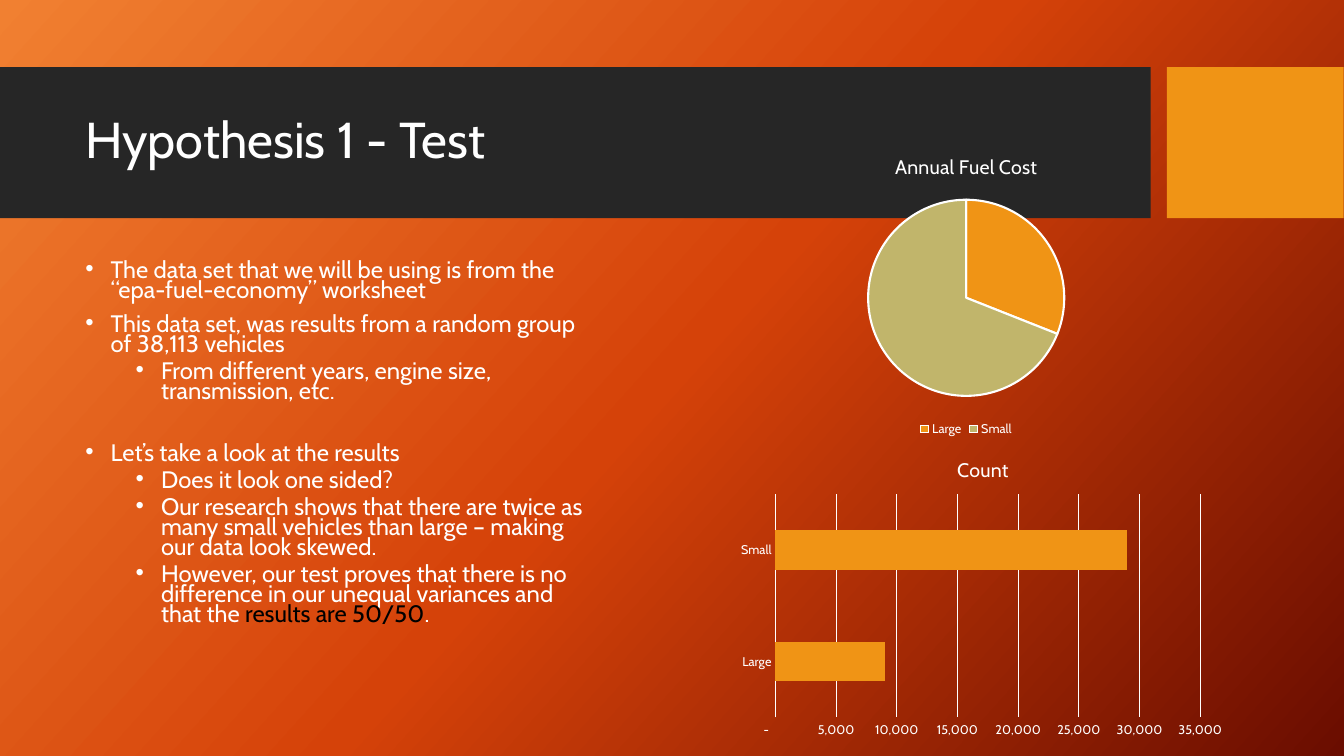
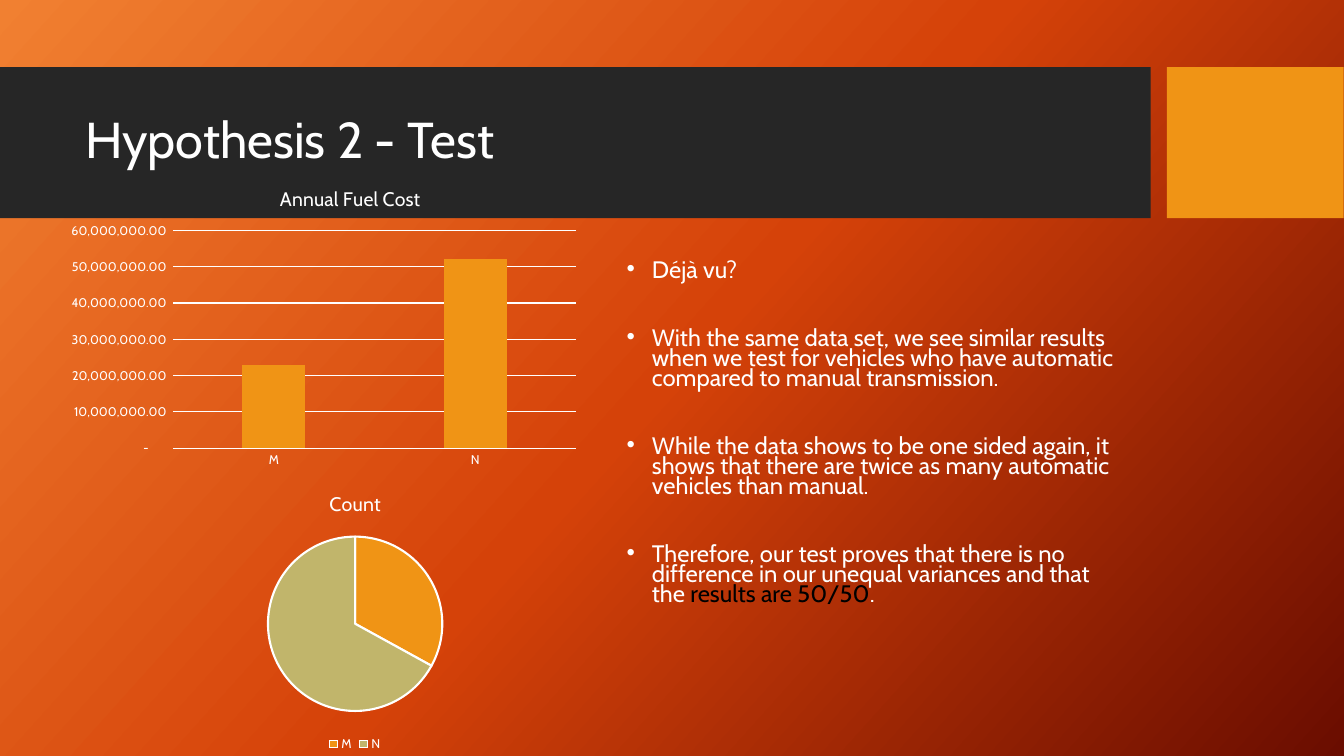
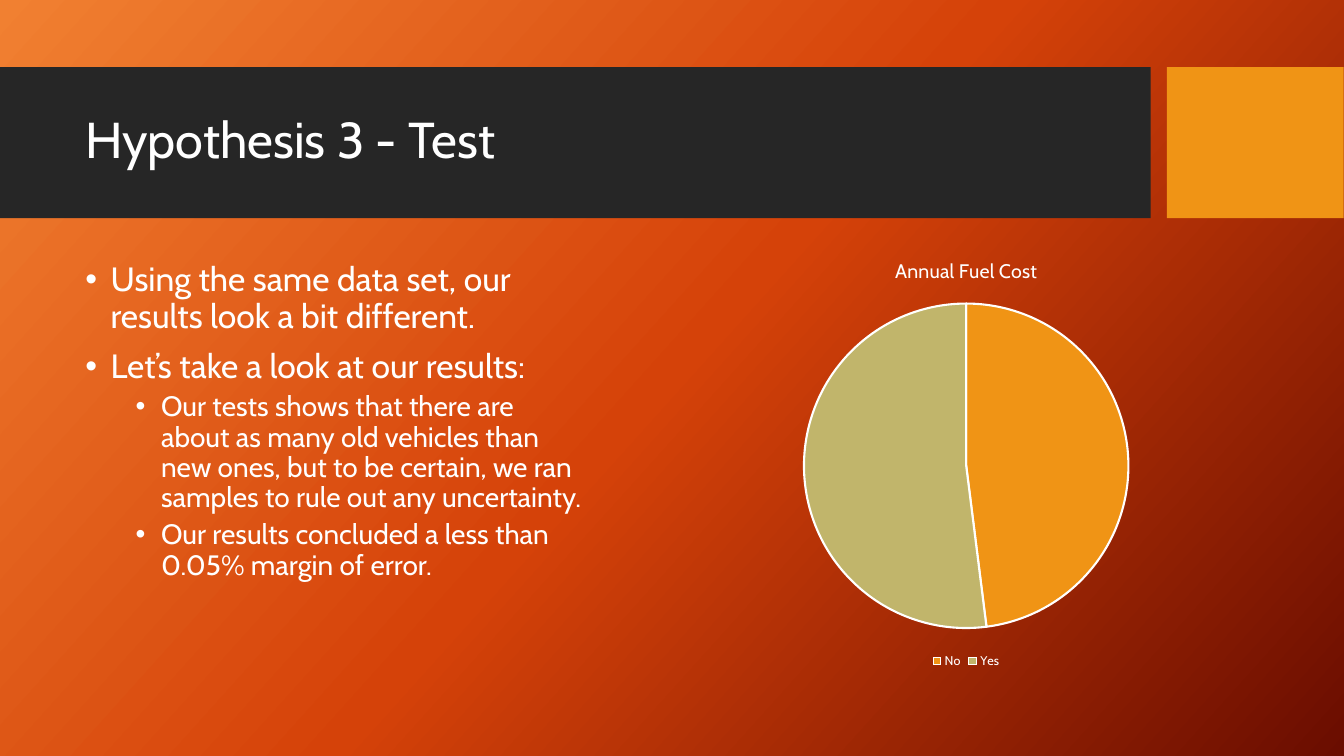
from copy import deepcopy
from dataclasses import dataclass

from lxml import etree
from pptx import Presentation, util as u
from pptx.chart import data
from pptx.dml import color
from pptx.enum import chart as ch, shapes, text
from pptx.oxml import ns


# Theme: colours and type sizes
@dataclass(frozen=True)
class Theme:
    font: str = "Cabin"
    dot: str = "Arial"
    white: str = "FFFFFF"
    black: str = "000000"
    band: str = "262626"
    gold: str = "F09415"
    sand: str = "C1B56B"
    back: tuple = ((0, "F18031"), (0.5, "D54209"), (1, "6A0D00"))
    angle: int = 42
    head: int = 36
    large: int = 24
    mid: int = 20
    small: int = 17
    name: int = 14
    label: int = 9


T = Theme()
PIE = ch.XL_CHART_TYPE.PIE
BAR = ch.XL_CHART_TYPE.BAR_CLUSTERED
COLUMN = ch.XL_CHART_TYPE.COLUMN_CLUSTERED
WHOLE = r'_(* #,##0_);_(* \(#,##0\);_(* "-"??_);_(@_)'
CENTS = r'_(* #,##0.00_);_(* \(#,##0.00\);_(* "-"??_);_(@_)'


def rgb(code):
    return color.RGBColor.from_string(code)


def box(*cms):
    return [u.Cm(n) for n in cms]


class Deck:
    def __init__(self):
        self.prs = Presentation()
        self.prs.slide_width, self.prs.slide_height = box(33.87, 19.05)
        self.slide = None

    # Frame: background, bands and title
    def page(self, title):
        self.slide = self.prs.slides.add_slide(self.prs.slide_layouts[6])
        self.paint()
        self.rect((0, 1.69, 29, 3.81), T.band)
        self.rect((29.41, 1.69, 4.45, 3.81), T.gold)
        frame = self.frame((1.9, 2.08, 26.7, 3), text.MSO_ANCHOR.MIDDLE)
        para = frame.paragraphs[0]
        para.line_spacing = 0.9
        self.run(para, title, T.head)

    def paint(self):
        fill = self.slide.background.fill
        fill.gradient()
        fill.gradient_angle = 360 - T.angle
        stops = next(self.slide.element.iter(ns.qn("a:gsLst")))
        stops.append(deepcopy(stops[-1]))
        for stop, (place, code) in zip(fill.gradient_stops, T.back):
            stop.position = place
            stop.color.rgb = rgb(code)

    def rect(self, place, code):
        shape = self.slide.shapes.add_shape(
            shapes.MSO_SHAPE.RECTANGLE, *box(*place))
        shape.shadow.inherit = False
        shape.fill.solid()
        shape.fill.fore_color.rgb = rgb(code)
        shape.line.fill.background()

    # Text
    def frame(self, place, anchor=text.MSO_ANCHOR.TOP):
        frame = self.slide.shapes.add_textbox(*box(*place)).text_frame
        frame.word_wrap = True
        frame.vertical_anchor = anchor
        return frame

    def style(self, font, size, code=T.white):
        font.name = T.font
        font.size = u.Pt(size)
        font.bold = False
        font.color.rgb = rgb(code)

    def run(self, para, words, size, code=T.white):
        run = para.add_run()
        run.text = words
        self.style(run.font, size, code)

    def body(self, left, items, sizes=(T.small, T.small), pitch=0.7):
        """Each item is (level, space before, run, ...)."""
        frame = self.frame((left, 6.5, 13.06, 10.01))
        for i, (level, gap, *runs) in enumerate(items):
            para = frame.paragraphs[0] if i == 0 else frame.add_paragraph()
            para.level = level
            para.line_spacing = pitch
            para.space_before = u.Pt(gap)
            props = para._p.get_or_add_pPr()
            props.set("marL", str(u.Cm((0.64, 1.91)[level])))
            props.set("indent", str(u.Cm(-0.64)))
            etree.SubElement(props, ns.qn("a:buFont"), typeface=T.dot)
            etree.SubElement(props, ns.qn("a:buChar"), char="•")
            for words, code in runs:
                self.run(para, words, sizes[level], code)

    # Charts
    def chart(self, kind, place, title, cats, vals):
        feed = data.CategoryChartData()
        feed.categories = cats
        feed.add_series(title, vals)
        chart = self.slide.shapes.add_chart(kind, *box(*place), feed).chart
        self.style(chart.font, T.label)
        chart.has_title = True
        self.run(chart.chart_title.text_frame.paragraphs[0], title, T.name)
        chart.has_legend = kind == PIE
        chart.plots[0].vary_by_categories = kind == PIE
        return chart

    def pie(self, place, title, cats, vals):
        chart = self.chart(PIE, place, title, cats, vals)
        chart.legend.position = ch.XL_LEGEND_POSITION.BOTTOM
        chart.legend.include_in_layout = False
        self.style(chart.legend.font, T.label)
        for i, code in enumerate((T.gold, T.sand)):
            form = chart.plots[0].series[0].points[i].format
            form.fill.solid()
            form.fill.fore_color.rgb = rgb(code)
            self.line(form.line, 1.5)

    def bars(self, kind, place, title, cats, vals, mask, top, step,
             gap, lap=0):
        chart = self.chart(kind, place, title, cats, vals)
        plot = chart.plots[0]
        plot.gap_width, plot.overlap = gap, lap
        fill = plot.series[0].format.fill
        fill.solid()
        fill.fore_color.rgb = rgb(T.gold)
        for axis in (chart.category_axis, chart.value_axis):
            axis.major_tick_mark = ch.XL_TICK_MARK.NONE
            axis.minor_tick_mark = ch.XL_TICK_MARK.NONE
            self.style(axis.tick_labels.font, T.label)
        self.line(chart.category_axis.format.line)
        axis = chart.value_axis
        axis.format.line.fill.background()
        axis.minimum_scale, axis.maximum_scale = 0, top
        axis.major_unit = step
        axis.tick_labels.number_format = mask
        axis.tick_labels.number_format_is_linked = False
        axis.has_major_gridlines = True
        self.line(axis.major_gridlines.format.line)
        return chart

    def line(self, line, width=0.75):
        line.color.rgb = rgb(T.white)
        line.width = u.Pt(width)

    def inset(self, root, spots, inner=False):
        """Place a chart part by shares of the chart's size."""
        spot = root.find(ns.qn("c:layout"))
        if spot is None:
            spot = etree.Element(ns.qn("c:layout"))
            text_part = root.find(ns.qn("c:tx"))
            root.insert(0 if text_part is None else 1, spot)
        hand = etree.SubElement(spot, ns.qn("c:manualLayout"))
        rules = [("layoutTarget", "inner")] if inner else []
        rules += [("xMode", "edge"), ("yMode", "edge"), *zip("xywh", spots)]
        for tag, val in rules:
            etree.SubElement(hand, ns.qn("c:" + tag), val=str(val))


def say(words):
    return words, T.white


proof = (("results are 50/50", T.black), say("."))
deck = Deck()

# Hypothesis 1: large against small vehicles
deck.page("Hypothesis 1 - Test")
deck.body(1.9, [
    (0, 10, say("The data set that we will be using is from the "
                "“epa-fuel-economy” worksheet")),
    (0, 10, say("This data set, was results from a random group of "
                "38,113 vehicles")),
    (1, 5, say("From different years, engine size, transmission, etc.")),
    (0, 29.5, say("Let’s take a look at the results")),
    (1, 5, say("Does it look one sided?")),
    (1, 5, say("Our research shows that there are twice as many small "
               "vehicles than large – making our data look skewed.")),
    (1, 5, say("However, our test proves that there is no difference in our "
               "unequal variances and that the "), *proof),
])
sizes = ("Large", "Small")
deck.pie((18, 3.49, 12.7, 7.62), "Annual Fuel Cost", sizes, (31, 69))
deck.bars(BAR, (18.42, 11.11, 12.7, 7.62), "Count", sizes, (9000, 29000),
          WHOLE, 35000, 5000, gap=182)

# Hypothesis 2: manual against automatic
deck.page("Hypothesis 2 - Test")
gears = ("M", "N")
cost = deck.bars(COLUMN, (1.73, 4.36, 13.18, 7.62), "Annual Fuel Cost", gears,
                 (23000000, 52000000), CENTS, 60000000, 10000000,
                 gap=219, lap=-27)
tree = cost._chartSpace.chart
deck.inset(tree.plotArea, (0.19, 0.19, 0.78, 0.72), inner=True)
deck.inset(tree.find(ns.qn("c:title")), (0.39, 0.03))
deck.body(15.54, [
    (0, 10, say("Déjà vu?")),
    (0, 34.3, say("With the same data set, we see similar results when we "
                  "test for vehicles who have automatic compared to manual "
                  "transmission.")),
    (0, 34.3, say("While the data shows to be one sided again, it shows that "
                  "there are twice as many automatic vehicles than manual.")),
    (0, 34.3, say("Therefore, our test proves that there is no difference in "
                  "our unequal variances and that the "), *proof),
])
deck.pie((2.36, 11.99, 13.18, 7.06), "Count", gears, (33, 67))

# Hypothesis 3: old against new
deck.page("Hypothesis 3 - Test")
deck.body(1.9, [
    (0, 10, say("Using the same data set, our results look a bit different.")),
    (0, 10, say("Let’s take a look at our results:")),
    (1, 5, say("Our tests shows that there are about as many old vehicles "
               "than new ones, but to be certain, we ran samples to rule out "
               "any uncertainty.")),
    (1, 5, say("Our results concluded a less than 0.05% margin of error.")),
], (T.large, T.mid), 0.9)
deck.pie((17.15, 6.04, 14.4, 10.92), "Annual Fuel Cost", ("No", "Yes"),
         (48, 52))

deck.prs.save("out.pptx")
